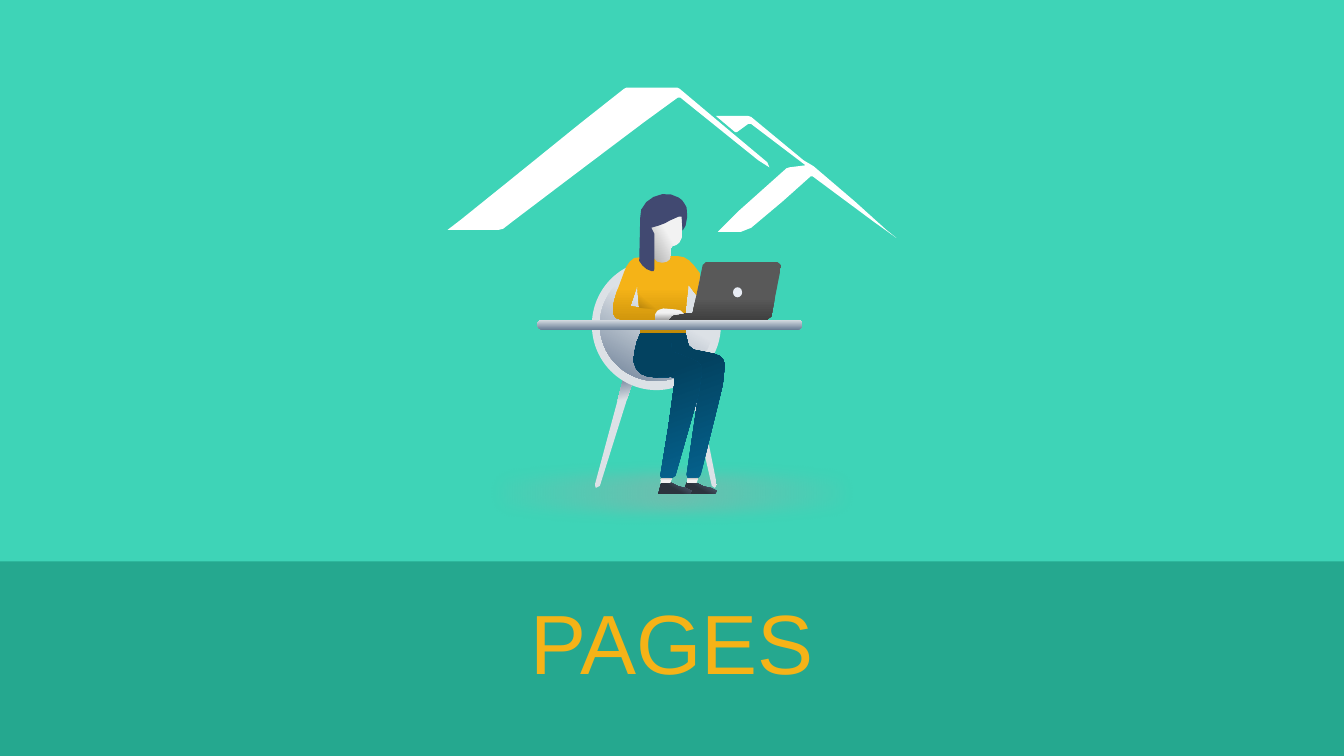
from math import ceil, hypot, sqrt

from pptx import Presentation
from pptx.dml.color import RGBColor
from pptx.enum.shapes import MSO_SHAPE as Shape
from pptx.enum.text import MSO_ANCHOR, MSO_AUTO_SIZE, PP_ALIGN
from pptx.oxml import parse_xml
from pptx.oxml.ns import nsdecls, qn
from pptx.util import Inches, Pt

MINT = RGBColor(0x3E, 0xD4, 0xB7)
TEAL = RGBColor(0x25, 0xA8, 0x8F)
AMBER = RGBColor(0xF5, 0xB3, 0x17)
DARK_AMBER = RGBColor(0xC1, 0x8A, 0x08)
WHITE = RGBColor(0xFF, 0xFF, 0xFF)
BLACK = RGBColor(0x00, 0x00, 0x00)
PALE = RGBColor(0xF2, 0xF2, 0xF2)
GREY = RGBColor(0xA6, 0xA6, 0xA6)
CHAIR = RGBColor(0xDC, 0xE1, 0xE6)
STEEL = RGBColor(0x6A, 0x7E, 0x96)
GRAPHITE = RGBColor(0x59, 0x59, 0x59)
CHARCOAL = RGBColor(0x40, 0x40, 0x40)
LID_DOT = RGBColor(0xE8, 0xEC, 0xF4)
HAIR = RGBColor(0x41, 0x49, 0x71)
SLATE = RGBColor(0x57, 0x68, 0x7C)
SHOE = RGBColor(0x2C, 0x34, 0x3E)
DENIM = RGBColor(0x05, 0x63, 0x8F)
NAVY = RGBColor(0x03, 0x42, 0x60)

FLATNESS = 0.005

RIGHT_LEG = "M 7.09 4.84 L 7.11 4.81 6.9 3.75 6.82 3.77 7.06 4.82 Z"
LEFT_LEG = "M 5.91 4.84 L 5.9 4.81 6.18 3.77 6.27 3.8 5.95 4.82 Z"
FACE = """M 6.77 2.29 L 6.77 2.14 6.74 2.14 6.49 2.23 C 6.47 2.23 6.46 2.24 6.45 2.26
6.44 2.29 6.45 2.3 6.48 2.31 L 6.49 2.58 C 6.5 2.6 6.51 2.61 6.53 2.62
6.6 2.62 6.65 2.6 6.65 2.54 L 6.65 2.47 6.67 2.44 C 6.72 2.44 6.77 2.4 6.77 2.29 Z"""
SWEATER = """M 6.95 2.72 L 6.88 2.63 C 6.84 2.58 6.79 2.54 6.72 2.54 L 6.65 2.54 6.65 2.57
C 6.62 2.62 6.51 2.62 6.49 2.57 L 6.46 2.54 6.29 2.56 C 6.24 2.59 6.21 2.64 6.19 2.7
L 6.12 2.89 C 6.11 2.92 6.07 3.05 6.08 3.09 6.09 3.14 6.1 3.16 6.16 3.17
L 6.35 3.17 6.35 3.31 6.8 3.31 C 6.79 3.16 6.8 3.01 6.83 2.83 L 6.91 2.93 Z
M 6.34 3.05 L 6.25 3.04 6.32 2.84 Z"""
LAPTOP = """M 7.71 2.6 L 7 2.6 6.97 2.63 6.87 3.11 6.72 3.11
C 6.68 3.11 6.65 3.12 6.62 3.17 L 7.61 3.17 7.65 3.14 7.75 2.63 Z"""
SHOE_OUTLINE = """M 6.86 4.87 L 6.8 4.84 C 6.75 4.84 6.71 4.82 6.66 4.79
L 6.56 4.79 6.53 4.9 6.84 4.9 Z"""
HAND = """M 6.5 3.17 L 6.5 3.14 C 6.51 3.08 6.51 3.08 6.58 3.06
L 6.7 3.07 6.75 3.08 6.78 3.11 6.7 3.12 C 6.68 3.12 6.65 3.13 6.63 3.17 Z"""
ANKLE = "M 6.65 4.79 L 6.55 4.79 6.56 4.73 6.67 4.73 Z"
TROUSERS = """M 7.08 3.51 L 6.88 3.47 6.83 3.43 6.8 3.31 6.36 3.31 6.32 3.38 6.29 3.51
C 6.27 3.58 6.3 3.66 6.36 3.7 6.44 3.75 6.56 3.73 6.66 3.73 6.7 3.73 6.7 3.77 6.69 3.8
L 6.63 4.23 6.55 4.72 6.67 4.74 6.7 4.71 6.85 4.18 6.93 3.9 6.81 4.71 6.82 4.74 6.93 4.74
6.95 4.71 7.12 4.02 C 7.14 3.92 7.18 3.81 7.18 3.71 7.19 3.6 7.2 3.54 7.08 3.51 Z"""
HAIR_OUTLINE = """M 6.81 2.06 C 6.79 2.02 6.77 1.98 6.73 1.96 6.61 1.88 6.42 1.94 6.36 2.08
L 6.35 2.16 6.34 2.59 C 6.37 2.64 6.41 2.68 6.46 2.69 6.48 2.7 6.49 2.69 6.49 2.67
L 6.49 2.32 6.46 2.26 6.53 2.24 C 6.55 2.23 6.6 2.22 6.64 2.19
L 6.73 2.15 6.76 2.15 6.77 2.29 6.8 2.24 C 6.82 2.18 6.82 2.12 6.81 2.06 Z"""
NEAR_THIGH = """M 6.96 3.64 C 6.94 3.58 6.85 3.56 6.8 3.54 6.75 3.51 6.66 3.5 6.66 3.48
L 6.65 3.31 6.35 3.31 6.32 3.39 6.29 3.52 C 6.27 3.59 6.3 3.67 6.36 3.71
6.44 3.76 6.56 3.74 6.66 3.74 6.7 3.74 6.7 3.78 6.69 3.81 L 6.63 4.24 6.55 4.72 6.56 4.74
6.67 4.74 6.7 4.72 6.85 4.19 6.93 3.91 C 6.94 3.8 6.97 3.71 6.96 3.64 Z"""
SLEEVE_SHADE = "M 6.34 3.05 L 6.33 2.91 6.53 3.07 Z"
LARGE_ROOF = """M 4.44 2.28 L 4.57 2.18 5.03 1.81 5.76 1.22 6.19 0.88 6.21 0.87 6.72 0.87
6.74 0.88 7.18 1.25 7.61 1.61 7.63 1.66 7.52 1.59 6.75 0.97 6.72 0.97 6.39 1.21
5.74 1.7 5.08 2.2 4.99 2.27 4.95 2.28 Z"""
SMALL_ROOF = """M 8.89 2.36 L 8.68 2.21 8.06 1.75 8.04 1.75 7.76 2 7.45 2.26 7.35 2.3
7.12 2.3 7.33 2.09 7.8 1.67 7.83 1.66 7.99 1.64 7.45 1.23 7.42 1.23 7.31 1.31 7.29 1.31
7.1 1.15 7.42 1.15 7.45 1.16 7.97 1.59 8.07 1.65 8.48 2 8.79 2.28 Z"""


def gradient(angle, *stops):
    direction = f'<a:lin ang="{(angle or 0) * 60000}" scaled="0"/>'
    if angle is None:
        direction = ('<a:path path="circle"><a:fillToRect l="50000" t="50000" '
                     'r="50000" b="50000"/></a:path>')
    marks = "".join(
        f'<a:gs pos="{place * 1000}"><a:srgbClr val="{color}">'
        f'<a:alpha val="{alpha * 1000}"/></a:srgbClr></a:gs>'
        for place, color, alpha in ((*stop, 100)[:3] for stop in stops))
    return (f'<a:gradFill {nsdecls("a")} rotWithShape="1"><a:gsLst>{marks}</a:gsLst>'
            f'{direction}</a:gradFill>')


def paint(shape, fill):
    shape.shadow.inherit = False
    shape.line.fill.background()
    if isinstance(fill, RGBColor):
        shape.fill.solid()
        shape.fill.fore_color.rgb = fill
    else:
        shape.fill.gradient()
        properties = shape._element.spPr
        properties.replace(properties.find(qn("a:gradFill")), parse_xml(fill))
    return shape


def add_preset(shapes, kind, box, fill):
    return paint(shapes.add_shape(kind, *map(Inches, box)), fill)


def bezier(*points):
    bend = max(hypot(*(a - 2 * b + c for a, b, c in zip(*points[i:i + 3]))) for i in (0, 1))
    steps = max(1, ceil(sqrt(0.75 * bend / FLATNESS)))
    for step in range(1, steps + 1):
        t = step / steps
        u = 1 - t
        yield tuple(u**3 * a + 3 * u * u * t * b + 3 * u * t * t * c + t**3 * d
                    for a, b, c, d in zip(*points))


def contours(outline):
    for contour in outline.replace("Z", "").split("M")[1:]:
        points, controls, command = [], [], "L"
        tokens = iter(contour.split())
        for token in tokens:
            if token in "LC":
                command = token
                continue
            point = (float(token), float(next(tokens)))
            if command == "L":
                points.append(point)
                continue
            controls.append(point)
            if len(controls) == 3:
                points.extend(bezier(points[-1], *controls))
                controls = []
        yield points


def add_outline(shapes, outline, fill, dx=0):
    builder = None
    for contour in contours(outline):
        first, *rest = [(Inches(x + dx), Inches(y)) for x, y in contour]
        if builder is None:
            builder = shapes.build_freeform(*first)
        else:
            builder.move_to(*first)
        builder.add_line_segments(rest, close=True)
    return paint(builder.convert_to_shape(), fill)


def add_text(shapes, text, box, *, font, size, color, align):
    title = shapes.add_textbox(*map(Inches, box))
    frame = title.text_frame
    frame.word_wrap = True
    frame.auto_size = MSO_AUTO_SIZE.SHAPE_TO_FIT_TEXT
    frame.vertical_anchor = MSO_ANCHOR.MIDDLE
    paragraph = frame.paragraphs[0]
    paragraph.alignment = align
    run = paragraph.add_run()
    run.text = text
    run.font.name, run.font.size, run.font.color.rgb = font, Pt(size), color


def add_floor_shadow(shapes):
    haze = gradient(None, (0, GREY, 45), (58, GREY, 0), (100, GREY, 0))
    shadow = add_preset(shapes, Shape.OVAL, (3.42, 4.56, 6.49, 0.65), haze)
    effects = shadow._element.spPr.find(qn("a:effectLst"))
    effects.append(parse_xml(f'<a:softEdge {nsdecls("a")} rad="{Pt(10)}"/>'))


def draw_worker(shapes):
    metal = gradient(260, (0, CHAIR), (78, CHAIR), (100, STEEL))
    leather = gradient(120, (0, SLATE), (55, SHOE), (100, SHOE))
    denim = gradient(250, (0, DENIM), (72, NAVY), (100, NAVY))
    skin = (0, PALE), (41, PALE), (100, GREY)
    add_floor_shadow(shapes)
    for leg in (RIGHT_LEG, LEFT_LEG):
        add_outline(shapes, leg, metal)
    add_preset(shapes, Shape.OVAL, (5.87, 2.58, 1.28, 1.29), CHAIR)
    add_outline(shapes, FACE, gradient(150, *skin))
    add_preset(shapes, Shape.OVAL, (5.95, 2.66, 1.12, 1.12),
               gradient(120, (0, CHAIR), (41, CHAIR), (100, STEEL)))
    add_outline(shapes, SWEATER, gradient(90, (0, AMBER), (41, AMBER), (100, DARK_AMBER)))
    add_outline(shapes, LAPTOP, gradient(90, (0, GRAPHITE), (63, GRAPHITE), (100, CHARCOAL)))
    for dx in (0.25, 0):
        add_outline(shapes, SHOE_OUTLINE, leather, dx)
    add_outline(shapes, HAND, gradient(90, *skin))
    add_preset(shapes, Shape.OVAL, (7.27, 2.85, 0.09, 0.1), LID_DOT)
    for dx in (0, 0.26):
        add_outline(shapes, ANKLE, gradient(270, *skin), dx)
    add_outline(shapes, TROUSERS, denim)
    desk = add_preset(shapes, Shape.ROUNDED_RECTANGLE, (5.33, 3.17, 2.63, 0.1),
                      gradient(90, (0, CHAIR), (100, STEEL)))
    desk.adjustments[0] = 0.5
    add_outline(shapes, HAIR_OUTLINE, HAIR)
    add_outline(shapes, NEAR_THIGH, denim)
    add_outline(shapes, SLEEVE_SHADE,
                gradient(130, (0, BLACK, 0), (51, BLACK, 0), (100, BLACK, 20)))


def main():
    deck = Presentation()
    deck.slide_width, deck.slide_height = Inches(13.33), Inches(7.5)
    slide = deck.slides.add_slide(deck.slide_layouts[6])
    slide.background.fill.solid()
    slide.background.fill.fore_color.rgb = MINT
    add_preset(slide.shapes, Shape.RECTANGLE, (0, 5.57, 13.33, 1.93), TEAL)
    draw_worker(slide.shapes.add_group_shape().shapes)
    add_text(slide.shapes, "PAGES", (0, 5.8, 13.33, 1.11),
             font="Arial", size=60, color=AMBER, align=PP_ALIGN.CENTER)
    roofs = slide.shapes.add_group_shape().shapes
    for roof in (LARGE_ROOF, SMALL_ROOF):
        add_outline(roofs, roof, WHITE)
    deck.save("out.pptx")


if __name__ == "__main__":
    main()
